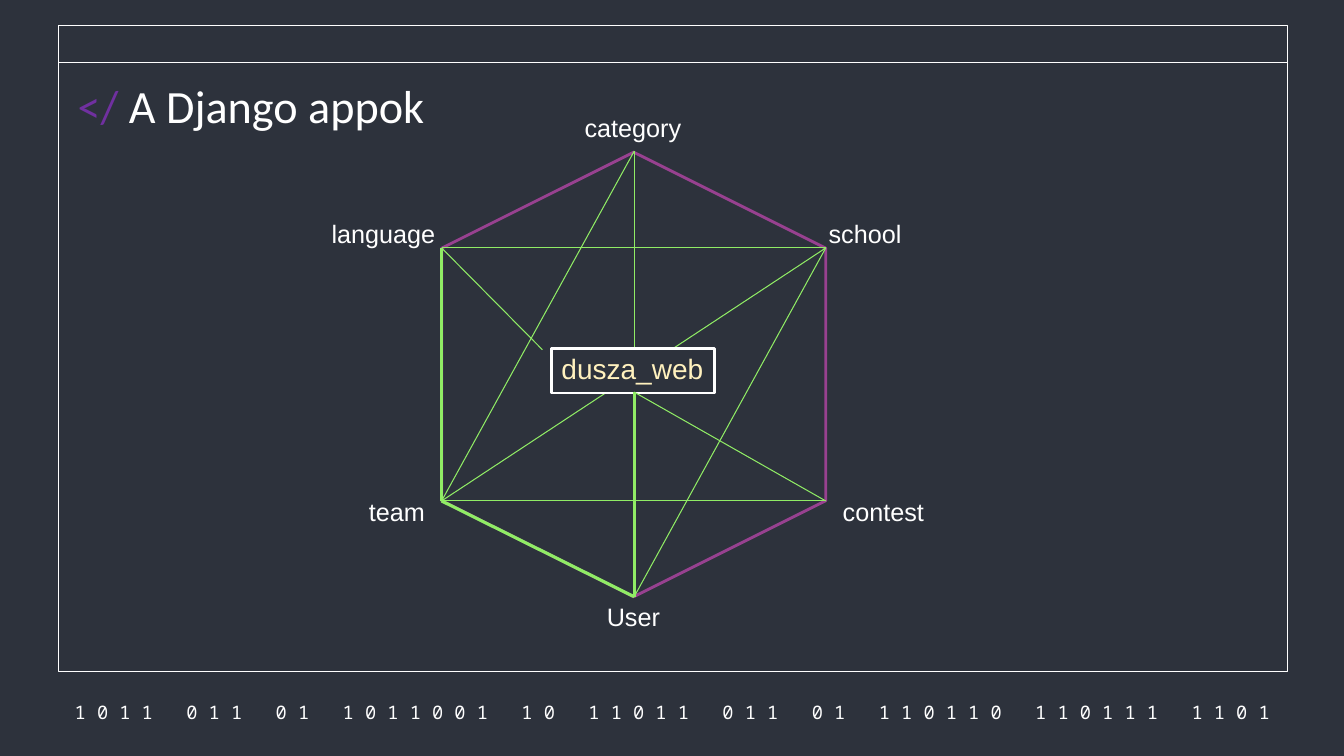
import pptx
import pptx.util
import pptx.dml.color
import pptx.enum.shapes
import pptx.enum.text
import pptx.oxml.ns
from lxml import etree

Inches = pptx.util.Inches
Pt = pptx.util.Pt
RGBColor = pptx.dml.color.RGBColor
Shape = pptx.enum.shapes.MSO_SHAPE
Align = pptx.enum.text.PP_ALIGN
Anchor = pptx.enum.text.MSO_ANCHOR
Fit = pptx.enum.text.MSO_AUTO_SIZE

DARK = RGBColor(0x2D, 0x32, 0x3C)
WHITE = RGBColor(0xFF, 0xFF, 0xFF)
PLUM = RGBColor(0x98, 0x41, 0x90)
VIOLET = RGBColor(0x70, 0x30, 0xA0)
GREEN = RGBColor(0x90, 0xEC, 0x65)
CREAM = RGBColor(0xFF, 0xF1, 0xBE)

THIN, THICK = 0.75, 2.25


class Page:
    """Holds the style and the current slide."""

    def __init__(self, deck):
        self.slide = deck.slides.add_slide(deck.slide_layouts[5])
        self.items = self.slide.shapes
        fill = self.slide.background.fill
        fill.solid()
        fill.fore_color.rgb = DARK

    def put(self, thing, **values):
        for name, value in values.items():
            setattr(thing, name, value)

    def pad(self, frame, size):
        sides = ("left", "top", "right", "bottom")
        self.put(frame, **{f"margin_{side}": Inches(size) for side in sides})

    def run(self, para, text, size, color, font="Arial"):
        run = para.add_run()
        run.text = text
        self.put(run.font, size=Pt(size), name=font)
        run.font.color.rgb = color

    def box(self, kind, area, color, width, turn=0):
        shape = self.items.add_shape(kind, *map(Inches, area))
        shape.shadow.inherit = False
        shape.rotation = turn
        shape.fill.solid()
        shape.fill.fore_color.rgb = DARK
        shape.line.color.rgb = color
        shape.line.width = Pt(width)

    def label(self, text, area, size=18, color=WHITE):
        frame = self.items.add_textbox(*map(Inches, area)).text_frame
        self.put(frame, word_wrap=False, auto_size=Fit.SHAPE_TO_FIT_TEXT)
        self.run(frame.paragraphs[0], text, size, color)

    def strip(self, text, area):
        frame = self.items.add_textbox(*map(Inches, area)).text_frame
        self.put(frame, word_wrap=True, vertical_anchor=Anchor.MIDDLE)
        self.pad(frame, 0.13)
        frame.paragraphs[0].alignment = Align.CENTER
        self.run(frame.paragraphs[0], text, 13.3, WHITE, "Noto Sans Mono")

    def title(self, parts, area):
        title = self.items.title
        self.put(title, **dict(zip(("left", "top", "width", "height"),
                                   map(Inches, area))))
        frame = title.text_frame
        self.put(frame, word_wrap=True, auto_size=Fit.NONE,
                 vertical_anchor=Anchor.TOP)
        self.pad(frame, 0.1)
        para = frame.paragraphs[0]
        para.alignment = Align.LEFT
        for text, color in parts:
            self.run(para, text, 33, color, "Calibri")
        # Bring the title in front of the frame
        self.items._spTree.append(title._element)

    def link(self, start, end, width=THIN):
        line = self.items.add_connector(
            pptx.enum.shapes.MSO_CONNECTOR.STRAIGHT,
            *map(Inches, start + end))
        line.line.color.rgb = GREEN
        line.line.width = Pt(width)
        etree.SubElement(line._element.spPr,
                         pptx.oxml.ns.qn("a:effectLst"))


def main():
    deck = pptx.Presentation()
    deck.slide_width, deck.slide_height = Inches(13.33), Inches(7.5)
    page = Page(deck)

    # Window frame and binary strip
    for height in (6.41, 0.37):
        page.box(Shape.RECTANGLE, (0.58, 0.25, 12.19, height), WHITE, THIN)
    codes = "1011 011 01 1011001 10 11011 011 01 110110 110111 1101"
    page.strip("   ".join(" ".join(code) for code in codes.split()),
               (0.5, 6.93, 12.36, 0.26))

    # Hexagon and title
    page.box(Shape.HEXAGON, (4.08, 1.81, 4.41, 3.81), PLUM, 2, turn=90)
    page.title([("</ ", VIOLET), ("A Django appok", WHITE)],
               (0.67, 0.67, 11.23, 0.84))

    # App names
    for name, left, top, width in (
            ("category", 5.7, 1.07, 1.17), ("language", 3.19, 2.12, 1.24),
            ("contest", 8.26, 4.87, 1.02), ("school", 8.12, 2.12, 0.93),
            ("team", 3.56, 4.87, 0.76), ("User", 5.92, 5.92, 0.73)):
        page.label(name, (left, top, width, 0.4))

    # Corners of the hexagon
    west, mid, east = 4.38, 6.29, 8.19
    high, low = 2.46, 4.97
    top, base = (mid, 1.5), (mid, 5.92)
    lang, school = (west, high), (east, high)
    team, contest = (west, low), (east, low)
    foot = (mid, 3.89)

    # Links behind the hub
    for start, end in ((school, team), (top, team), (school, lang),
                       (school, base), (team, contest)):
        page.link(start, end)

    # Hub
    page.box(Shape.FLOWCHART_PROCESS, (5.47, 3.46, 1.62, 0.44), WHITE, 2)
    page.label("dusza_web", (5.47, 3.44, 1.62, 0.44), 20, CREAM)

    # Links at the hub and strong links
    for start, end, width in (
            (top, (mid, 3.44), THIN), (contest, foot, THIN),
            (lang, (5.38, 3.47), THIN), (lang, team, THICK),
            (team, base, THICK), (foot, base, THICK)):
        page.link(start, end, width)

    deck.save("out.pptx")


if __name__ == "__main__":
    main()
